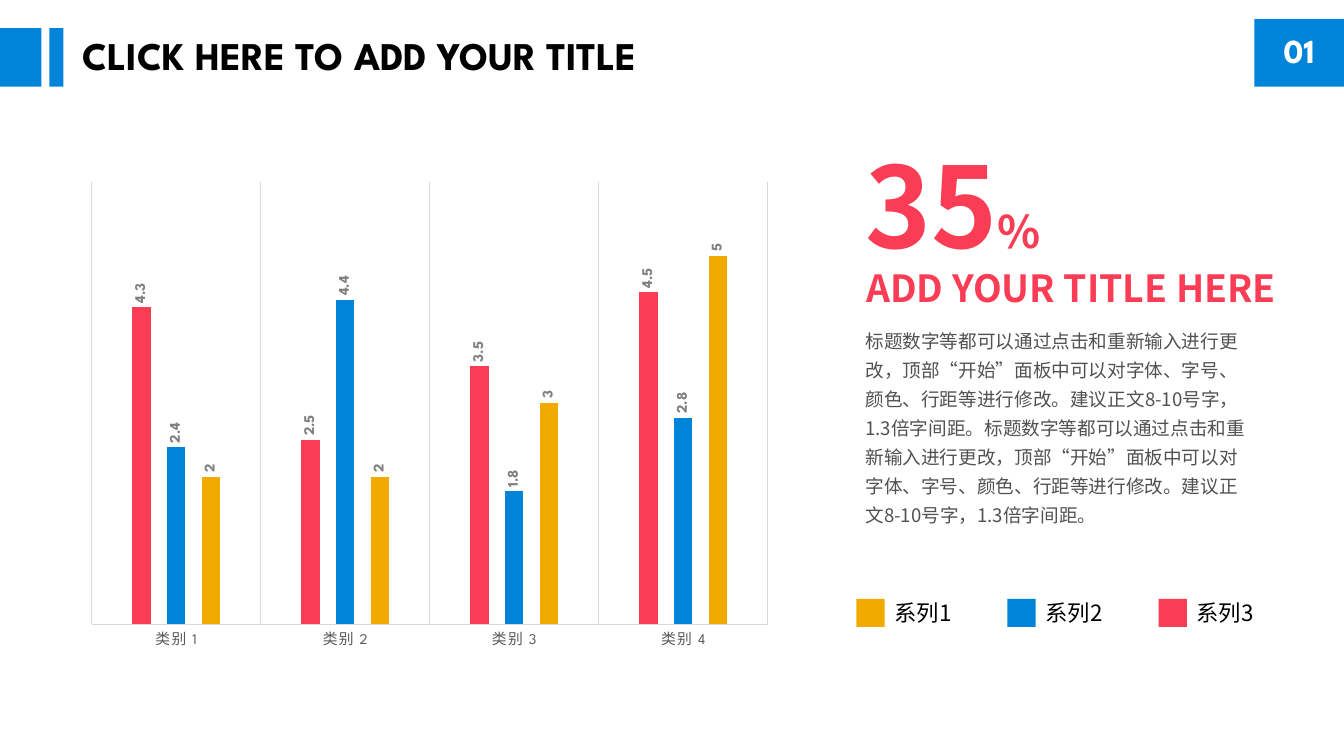
from lxml import etree
from pptx import Presentation
from pptx import oxml
from pptx import util as u
from pptx.chart import data as chart_data
from pptx.dml import color
from pptx.enum import chart as charts, shapes, text
from pptx.oxml import ns

COLORS = {
    "red": "FA3C54", "blue": "0084DA", "gold": "F1AB00", "black": "000000",
    "white": "FFFFFF", "body": "515151", "axis": "595959", "label": "808080",
    "grid": "D9D9D9",
}
HEAD_FONT = "League Spartan"
TEXT_FONT = "Noto Sans CJK SC"


def rgb(name):
    return color.RGBColor.from_string(COLORS[name])


def format_font(font, size, hue, name=HEAD_FONT, bold=False):
    font.size = u.Pt(size)
    font.bold = bold
    font.name = name
    font.color.rgb = rgb(hue)


def write(shape, content, size, hue, font=TEXT_FONT, bold=False, spacing=None,
          align=text.PP_ALIGN.LEFT, anchor=text.MSO_ANCHOR.TOP, wrap=True):
    frame = shape.text_frame
    frame.auto_size = text.MSO_AUTO_SIZE.NONE
    frame.word_wrap = wrap
    frame.vertical_anchor = anchor
    para = frame.paragraphs[0]
    para.alignment = align
    para.space_before = u.Pt(0)
    if spacing:
        para.line_spacing = spacing
    span = para.add_run()
    span.text = content
    format_font(span.font, size, hue, font, bold)
    latin = span.font._element.find(ns.qn("a:latin"))
    east_asian = etree.Element(ns.qn("a:ea"), typeface=font)
    latin.addnext(east_asian)
    return para


def place(shape, left, top, width, height):
    shape.left, shape.top = u.Inches(left), u.Inches(top)
    shape.width, shape.height = u.Inches(width), u.Inches(height)
    return shape


def add_block(page, left, top, width, height, hue):
    block = page.shapes.add_shape(
        shapes.MSO_SHAPE.RECTANGLE, u.Inches(left), u.Inches(top),
        u.Inches(width), u.Inches(height))
    block.shadow.inherit = False
    block.fill.solid()
    block.fill.fore_color.rgb = rgb(hue)
    block.line.fill.background()
    return block


def add_text(page, left, top, width, height, content, size, hue, **style):
    box = page.shapes.add_textbox(
        u.Inches(left), u.Inches(top), u.Inches(width), u.Inches(height))
    return write(box, content, size, hue, **style)


def build_header(page, left, top, width, height):
    middle = text.MSO_ANCHOR.MIDDLE
    bar_top, bar_height = top + 0.09, height - 0.09
    add_block(page, left, bar_top, 0.41, bar_height, "blue")
    add_block(page, left + 0.49, bar_top, 0.14, bar_height, "blue")
    title = place(page.shapes.title, left + 0.72, bar_top, 6.14, bar_height)
    write(title, "CLICK HERE TO ADD YOUR TITLE", 28, "black", font=HEAD_FONT,
          bold=True, spacing=0.9, anchor=middle)
    badge = add_block(page, left + width - 0.89, top, 0.89, height, "blue")
    write(badge, "01", 24, "white", font=HEAD_FONT, bold=True, spacing=0.9,
          align=text.PP_ALIGN.CENTER, anchor=middle)


def format_series(series, hue):
    series.format.fill.solid()
    series.format.fill.fore_color.rgb = rgb(hue)
    series.invert_if_negative = False
    labels = series.data_labels
    labels.show_value = True
    labels.position = charts.XL_LABEL_POSITION.OUTSIDE_END
    format_font(labels.font, 10.6, "label", bold=True)
    frame = labels._element.find(ns.qn("c:txPr")).find(ns.qn("a:bodyPr"))
    frame.set("rot", "-5400000")
    frame.set("vert", "horz")


def set_plot_box(chart, **fractions):
    area = chart._chartSpace.chart.plotArea
    for old in area.findall(ns.qn("c:layout")):
        area.remove(old)
    sizes = "".join(f'<c:{key} val="{value}"/>' for key, value in fractions.items())
    area.insert(0, oxml.parse_xml(
        f'<c:layout {ns.nsdecls("c")}><c:manualLayout><c:layoutTarget val="inner"/>'
        f'<c:xMode val="edge"/><c:yMode val="edge"/>{sizes}'
        '</c:manualLayout></c:layout>'))


def build_chart(page, left, top, width, height):
    figures = chart_data.CategoryChartData()
    figures.categories = [f"类别 {number}" for number in range(1, 5)]
    figures.add_series("Series 1", (4.3, 2.5, 3.5, 4.5))
    figures.add_series("Series 2", (2.4, 4.4, 1.8, 2.8))
    figures.add_series("Series 3", (2, 2, 3, 5))
    chart = page.shapes.add_chart(
        charts.XL_CHART_TYPE.COLUMN_CLUSTERED, u.Inches(left), u.Inches(top),
        u.Inches(width), u.Inches(height), figures).chart
    chart.has_legend = False
    chart.has_title = False
    format_font(chart.font, 10, "black")
    plot = chart.plots[0]
    plot.vary_by_categories = False
    plot.gap_width, plot.overlap = 444, -90
    for series, hue in zip(plot.series, ("red", "blue", "gold")):
        format_series(series, hue)

    scale = chart.value_axis
    scale.minimum_scale, scale.maximum_scale = 0, 6
    scale.has_major_gridlines = False
    scale.visible = False
    axis = chart.category_axis
    axis.has_major_gridlines = True
    axis.major_tick_mark = charts.XL_TICK_MARK.NONE
    format_font(axis.tick_labels.font, 10.6, "axis")
    axis.tick_labels.font._element.set("spc", "100")
    for line in (axis.format.line, axis.major_gridlines.format.line):
        line.color.rgb = rgb("grid")
        line.width = u.Pt(0.75)
    set_plot_box(chart, x=0.02, y=0.02, w=0.96, h=0.91)


def build_summary(page, left, top, width, height):
    figure = add_text(page, left, top, 2, 1.45, "35", 80, "red", bold=True, wrap=False)
    percent = figure.add_run()
    percent.text = "%"
    format_font(percent.font, 32, "red", TEXT_FONT, True)
    add_text(page, left + 0.01, top + 1.27, width, 0.55, "ADD YOUR TITLE HERE",
             26.7, "red", bold=True, wrap=False)
    advice = ("标题数字等都可以通过点击和重新输入进行更改，顶部“开始”面板中可以对字体、"
              "字号、颜色、行距等进行修改。建议正文8-10号字，1.3倍字间距。")
    body = place(page.placeholders[1], left, top + 1.85, 4.07, height - 1.85)
    properties = body.text_frame.paragraphs[0]._p.get_or_add_pPr()
    properties.set("marL", "0")
    properties.set("indent", "0")
    etree.SubElement(properties, ns.qn("a:buNone"))
    write(body, advice * 2, 13.3, "body", spacing=1.3)


def build_legend(page, left, top, width, height):
    step = width / 3
    for index, hue in enumerate(("gold", "blue", "red")):
        start = left + index * step
        add_block(page, start, top + 0.05, 0.28, 0.28, hue)
        add_text(page, start + 0.28, top, 0.94, height, f"系列{index + 1}", 16,
                 "black", anchor=text.MSO_ANCHOR.MIDDLE)


def main():
    deck = Presentation()
    deck.slide_width, deck.slide_height = u.Inches(13.34), u.Inches(7.5)
    page = deck.slides.add_slide(deck.slide_layouts[1])
    build_header(page, 0, 0.19, 13.34, 0.67)
    build_chart(page, 0.77, 1.71, 6.99, 4.82)
    build_summary(page, 8.49, 1.31, 4.51, 3.99)
    build_legend(page, 8.5, 5.89, 4.5, 0.37)
    deck.save("out.pptx")


if __name__ == "__main__":
    main()
